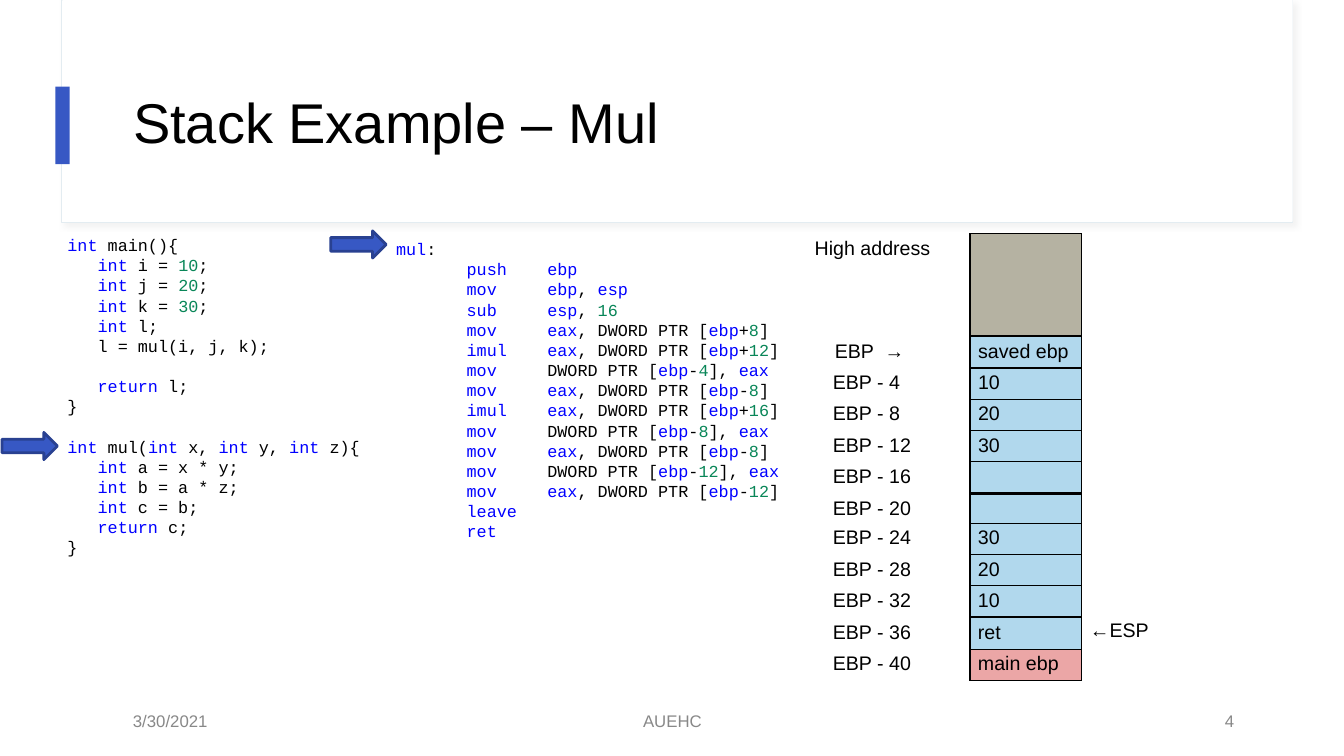
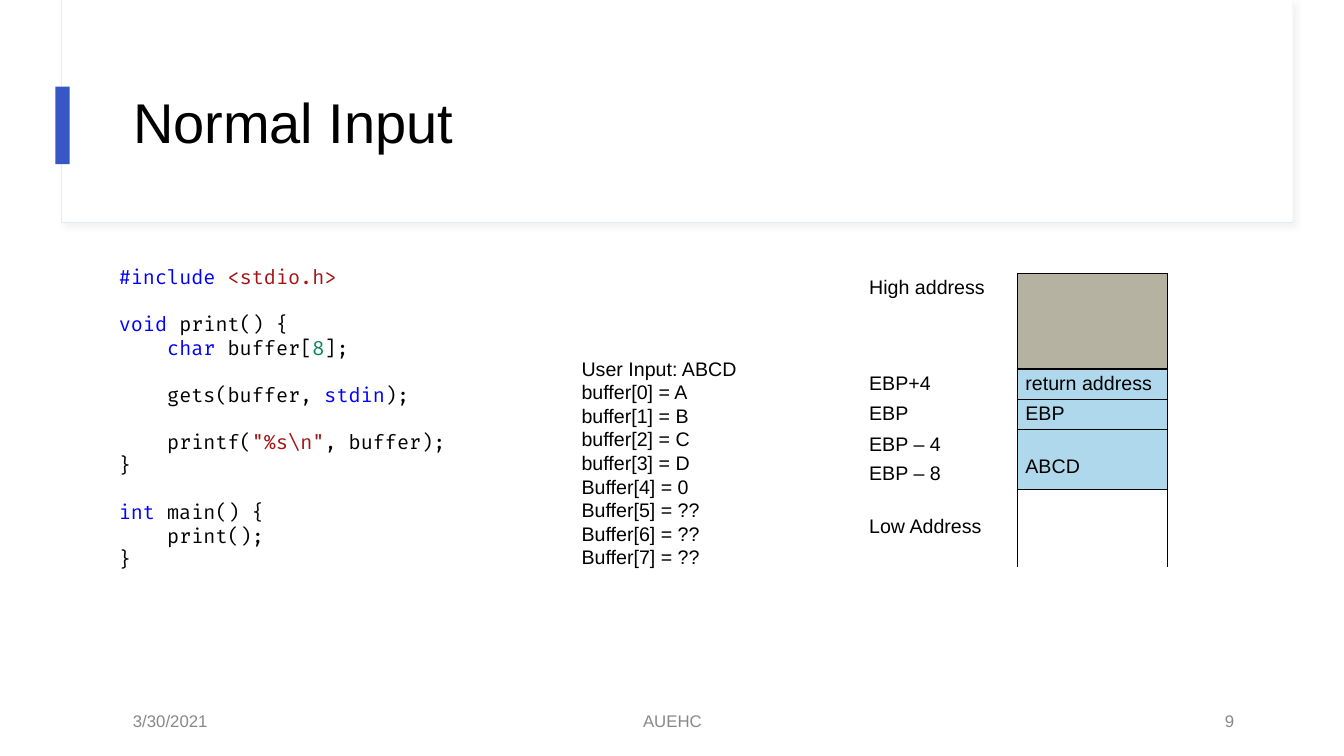
"""Build two slides that show C code beside its call stack."""
from itertools import groupby

from lxml.etree import SubElement
from pptx import Presentation
from pptx.dml.color import RGBColor
from pptx.enum.shapes import MSO_SHAPE as SHAPE
from pptx.enum.text import MSO_ANCHOR as ANCHOR, PP_ALIGN as ALIGN
from pptx.oxml.ns import qn
from pptx.util import Pt

PX = 9144
BLACK = RGBColor(0x00, 0x00, 0x00)
WHITE = RGBColor(0xFF, 0xFF, 0xFF)
GREY = RGBColor(0x88, 0x88, 0x88)
FRAME = RGBColor(0xE3, 0xEC, 0xF1)
ACCENT = RGBColor(0x37, 0x58, 0xC4)
ACCENT_DARK = RGBColor(0x29, 0x41, 0x91)
KEYWORD = RGBColor(0x00, 0x00, 0xFF)
NUMBER = RGBColor(0x09, 0x86, 0x58)
STRING = RGBColor(0xA3, 0x15, 0x15)
STONE = RGBColor(0xB5, 0xB2, 0xA2)
SKY = RGBColor(0xB1, 0xD8, 0xED)
PALE_SKY = RGBColor(0xB0, 0xD8, 0xEC)
ROSE = RGBColor(0xEB, 0xA6, 0xA6)
NO_STYLE = "{2D5ABB26-0587-4C30-8999-92F81FD0307C}"

C_WORDS = set("int return void char stdin #include".split())
ASM_WORDS = set("mul push mov sub imul leave ret eax ebp esp".split())

MUL_C = """\
int main(){
   int i = 10;
   int j = 20;
   int k = 30;
   int l;
   l = mul(i, j, k);

   return l;
}

int mul(int x, int y, int z){
   int a = x * y;
   int b = a * z;
   int c = b;
   return c;
}"""

MUL_ASM = [
    "push ebp",
    "mov ebp, esp",
    "sub esp, 16",
    "mov eax, DWORD PTR [ebp+8]",
    "imul eax, DWORD PTR [ebp+12]",
    "mov DWORD PTR [ebp-4], eax",
    "mov eax, DWORD PTR [ebp-8]",
    "imul eax, DWORD PTR [ebp+16]",
    "mov DWORD PTR [ebp-8], eax",
    "mov eax, DWORD PTR [ebp-8]",
    "mov DWORD PTR [ebp-12], eax",
    "mov eax, DWORD PTR [ebp-12]",
    "leave",
    "ret",
]

INPUT_C = r"""
#include `<stdio.h>`

void print() {
    char buffer[8];

    gets(buffer, stdin);

    printf(`"%s\n"`, buffer);
}

int main() {
    print();
}""".strip()

BUFFER = [
    "User Input: ABCD",
    "buffer[0] = A",
    "buffer[1] = B",
    "buffer[2] = C",
    "buffer[3] = D",
    "Buffer[4] = 0",
    "Buffer[5] = ??",
    "Buffer[6] = ??",
    "Buffer[7] = ??",
]

LOCALS = ["EBP - 4", "EBP - 8", "EBP - 12", "EBP - 16"]
SAVED = [(334, "saved ebp"), (365, "10"), (396, "20"), (427, "30")]
PUSHED = [
    (490, "EBP - 20", "", SKY),
    (519, "EBP - 24", "30", SKY),
    (550, "EBP - 28", "20", SKY),
    (581, "EBP - 32", "10", SKY),
    (613, "EBP - 36", "ret", SKY),
    (644, "EBP - 40", "main ebp", ROSE),
]

INPUT_STACK = [
    ("High address", "", STONE),
    ("EBP+4", "return address", PALE_SKY),
    ("EBP", "EBP", PALE_SKY),
    ("EBP – 4", "ABCD", PALE_SKY),
    ("EBP – 8", "", PALE_SKY),
    ("Low Address", "", None),
]
LOWERED = {"ABCD", "Low Address"}


def box(at):
    return [v * PX for v in at]


def style(r, size, color=BLACK, font="Arial"):
    r.font.size, r.font.name = Pt(size), font
    r.font.color.rgb = color


def add_block(s, kind, at, fill, line=None, width=1):
    sp = s.shapes.add_shape(kind, *box(at))
    sp.shadow.inherit = False
    sp.fill.solid()
    sp.fill.fore_color.rgb = fill
    if line is None:
        sp.line.fill.background()
    else:
        sp.line.color.rgb, sp.line.width = line, Pt(width)
    return sp


def add_band(s, layout):
    """Draw the title band and hand it to the layout."""
    frame = add_block(s, SHAPE.RECTANGLE, (61, 0, 1221, 221), WHITE, FRAME, 0.75)
    shadow = SubElement(
        frame._element.spPr.find(qn("a:effectLst")), qn("a:outerShdw"),
        blurRad=str(Pt(4)), dist=str(Pt(3)), dir="2700000", algn="tl", rotWithShape="0")
    color = SubElement(shadow, qn("a:srgbClr"), val="D8D8D8")
    SubElement(color, qn("a:alpha"), val="30000")
    panel = add_block(s, SHAPE.RECTANGLE, (62, 0, 1220, 220), WHITE)
    mark = add_block(s, SHAPE.RECTANGLE, (55, 86, 14, 77), ACCENT)
    for i, sp in enumerate((frame, panel, mark)):
        layout.shapes._spTree.insert(2 + i, sp._element)


def add_text(s, at, lines, size, color=BLACK, align=ALIGN.LEFT, anchor=ANCHOR.TOP):
    tf = s.shapes.add_textbox(*box(at)).text_frame
    tf.word_wrap, tf.vertical_anchor = True, anchor
    tf.text = "\n".join(lines)
    for p in tf.paragraphs:
        p.alignment = align
        for r in p.runs:
            style(r, size, color)


def code_lines(source):
    return ["\t" + t.strip() if t.startswith(" ") else t for t in source.splitlines()]


def tokens(line, words):
    """Yield each piece of a code line with its colour."""
    for i, part in enumerate(line.split("`")):
        if i % 2:
            yield part, STRING
            continue
        for _, chars in groupby(part, lambda ch: ch.isalnum() or ch == "#"):
            word = "".join(chars)
            yield word, (KEYWORD if word in words else
                         NUMBER if word.isdigit() else BLACK)


def add_code(s, at, lines, words, font, size, tabs):
    tf = s.shapes.add_textbox(*box(at)).text_frame
    tf.word_wrap = True
    p, gap = tf.paragraphs[0], False
    for i, line in enumerate(lines):
        if not line:
            gap = True
            continue
        if i:
            p = tf.add_paragraph()
        if gap:
            p.space_before = Pt(size * 1.2)
        gap = False
        stops = SubElement(p._p.get_or_add_pPr(), qn("a:tabLst"))
        for pos in tabs:
            SubElement(stops, qn("a:tab"), pos=str(pos * PX), algn="l")
        for word, color in tokens(line, words):
            r = p.add_run()
            r.text = word
            style(r, size, color, font)


def label(text):
    return text, None, "R"


def value(text, fill=SKY):
    return text, fill, "LRTB" if fill else "LRT"


def plain(text, sides=""):
    return text, None, sides


def set_cell(cell, text, fill, sides):
    cell.margin_left = cell.margin_right = 8 * PX
    cell.margin_top = (26 if text in LOWERED else 4) * PX
    cell.margin_bottom = 2 * PX
    cell.text = text
    p = cell.text_frame.paragraphs[0]
    for r in p.runs:
        style(r, 14)
    if not text:
        SubElement(p._p, qn("a:endParaRPr"), sz="1400")
    tc_pr = cell._tc.get_or_add_tcPr()
    for side in sides:
        ln = SubElement(tc_pr, qn("a:ln" + side), w=str(Pt(1)))
        SubElement(SubElement(ln, qn("a:solidFill")), qn("a:srgbClr"), val=str(BLACK))
    if fill is None:
        cell.fill.background()
    else:
        cell.fill.solid()
        cell.fill.fore_color.rgb = fill


def add_cells(s, left, top, widths, heights, rows):
    size = (left, top, sum(widths), sum(heights))
    tbl = s.shapes.add_table(len(rows), len(widths), *box(size)).table
    tbl.first_row = tbl.horz_banding = False
    tbl._tbl.tblPr.find(qn("a:tableStyleId")).text = NO_STYLE
    for col, width in zip(tbl.columns, widths):
        col.width = width * PX
    for i, (row, height) in enumerate(zip(rows, heights)):
        tbl.rows[i].height = height * PX
        for j, content in enumerate(row):
            set_cell(tbl.cell(i, j), *content)
    return tbl


def add_mul_stack(s):
    add_cells(s, 800, 232, [162, 111], [101], [[label("High address"), value("", STONE)]])
    add_cells(s, 1073, 611, [88], [31], [[plain("←ESP")]])
    add_cells(s, 818, 365, [144, 111], [31] * 4, [[label(t), value("")] for t in LOCALS])
    add_cells(s, 820, 334, [111], [31], [[plain("EBP  →")]])
    for top, text in SAVED:
        add_cells(s, 962, top, [111], [31], [[value(text)]])
    for top, name, text, fill in PUSHED:
        add_cells(s, 818, top, [144, 111], [31], [[label(name), value(text, fill)]])


def add_slide(prs, layout, title, number):
    s = prs.slides.add_slide(layout)
    sp = s.shapes.title
    sp.left, sp.top, sp.width, sp.height = box((122, 60, 1112, 129))
    tf = sp.text_frame
    tf.text, tf.vertical_anchor = title, ANCHOR.MIDDLE
    p = tf.paragraphs[0]
    p.alignment, p.line_spacing = ALIGN.LEFT, 0.9
    style(p.runs[0], 40)
    for x, w, text, align in ((122, 300, "3/30/2021", ALIGN.LEFT),
                              (442, 450, "AUEHC", ALIGN.CENTER),
                              (934, 300, number, ALIGN.RIGHT)):
        add_text(s, (x, 695, w, 40), [text], 12, GREY, align, ANCHOR.MIDDLE)
    return s


def main():
    prs = Presentation()
    prs.slide_width, prs.slide_height = box((1333, 750))
    layout = prs.slide_layouts[5]

    s = add_slide(prs, layout, "Stack Example – Mul", "4")
    add_band(s, layout)
    add_code(s, (57, 228, 350, 333), code_lines(MUL_C), C_WORDS, "Courier New", 12, [30])
    asm = ["mul:"] + ["\t" + op.replace(" ", "\t", 1) for op in MUL_ASM]
    add_code(s, (383, 232, 667, 313), asm, ASM_WORDS, "Courier New", 12, [70, 150])
    add_mul_stack(s)
    for x, y in ((2, 429), (328, 229)):
        add_block(s, SHAPE.RIGHT_ARROW, (x, y, 55, 27), ACCENT, ACCENT_DARK, 2)

    s = add_slide(prs, layout, "Normal Input", "9")
    add_code(s, (108, 258, 578, 364), code_lines(INPUT_C), C_WORDS, "Fira Code", 14, [48])
    add_text(s, (567, 349, 300, 222), BUFFER, 14)
    rows = [[label(a), value(b, fill), plain("", "L")] for a, b, fill in INPUT_STACK]
    tbl = add_cells(s, 854, 271, [155, 149, 155], [95, 30, 30, 29, 30, 77], rows)
    tbl.cell(3, 1).merge(tbl.cell(4, 1))

    prs.save("out.pptx")


if __name__ == "__main__":
    main()
